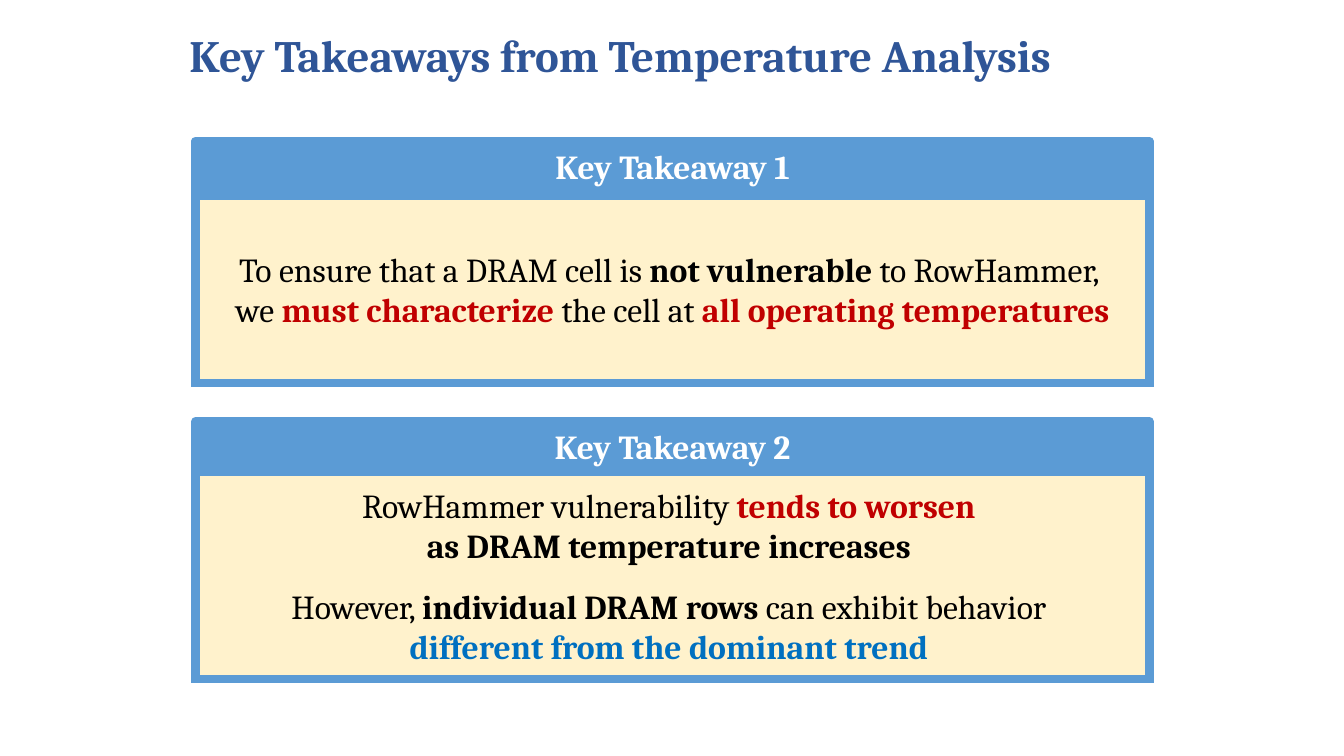
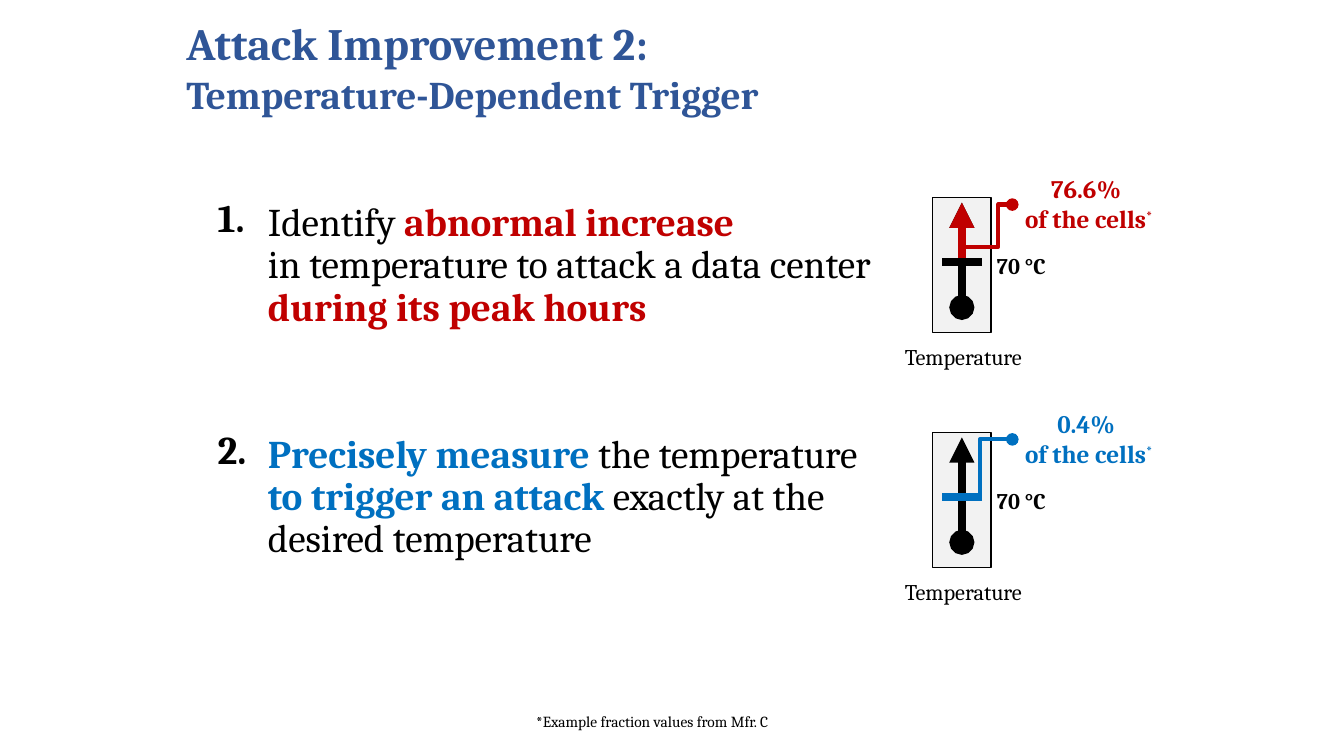
from dataclasses import dataclass

from lxml import etree
from pptx import Presentation, util as u
from pptx.dml.color import RGBColor
from pptx.enum import shapes, text
from pptx.oxml import ns


@dataclass(frozen=True)
class Theme:
    font: str = "Cambria"
    black: str = "000000"
    white: str = "FFFFFF"
    title: str = "2F5597"
    red: str = "C00000"
    blue: str = "0070C0"
    band: str = "5B9BD5"
    cream: str = "FFF2CC"
    grey: str = "F2F2F2"
    title_size: int = 32
    item_size: int = 28
    card_size: int = 24
    callout_size: int = 18
    label_size: int = 16
    note_size: int = 11
    heavy: int = 6
    medium: int = 3
    thin: int = 1


THEME = Theme()
CELL = u.Inches(0.1)  # the slide grid has ten columns and rows to the inch
LEFT, CENTER = text.PP_ALIGN.LEFT, text.PP_ALIGN.CENTER
TOP, MIDDLE = text.MSO_ANCHOR.TOP, text.MSO_ANCHOR.MIDDLE


@dataclass(frozen=True)
class Box:
    """A region in grid cells: column, row, columns wide, rows high."""
    col: float
    row: float
    cols: float
    rows: float

    def inner(self, col, row, cols, rows):
        return Box(self.col + col, self.row + row, cols, rows)

    def point(self, col, row):
        return cells(self.col + col), cells(self.row + row)

    def emu(self):
        return [cells(n) for n in (self.col, self.row, self.cols, self.rows)]


@dataclass(frozen=True)
class Run:
    words: str
    color: str = None
    bold: bool = True
    size: int = None
    raised: bool = False


def cells(count):
    return round(count * CELL)


def rgb(color):
    return RGBColor.from_string(color)


def add_run(paragraph, piece):
    """Add a string or a Run; a newline becomes a line break."""
    piece = Run(piece, bold=None) if isinstance(piece, str) else piece
    for number, line in enumerate(piece.words.split("\n")):
        if number:
            paragraph.add_line_break()
        if not line:
            continue
        run = paragraph.add_run()
        run.text = line
        if piece.bold is not None:
            run.font.bold = piece.bold
        if piece.color:
            run.font.color.rgb = rgb(piece.color)
        if piece.size:
            run.font.size = u.Pt(piece.size)
        if piece.raised:
            run.font._element.set("baseline", "30000")


def write(frame, paragraphs, size, color=THEME.black, bold=False, align=LEFT,
          anchor=TOP, wrap=True, gap=0, spacing=None):
    frame.word_wrap = wrap
    frame.vertical_anchor = anchor
    for number, pieces in enumerate(paragraphs):
        paragraph = frame.add_paragraph() if number else frame.paragraphs[0]
        paragraph.alignment = align
        if spacing:
            paragraph.line_spacing = spacing
        if number and gap:
            paragraph.space_before = u.Pt(gap)
        font = paragraph.font
        font.name, font.size, font.bold = THEME.font, u.Pt(size), bold
        font.color.rgb = rgb(color)
        for piece in pieces:
            add_run(paragraph, piece)


def add_text(slide, box, paragraphs, size, **style):
    write(slide.shapes.add_textbox(*box.emu()).text_frame, paragraphs, size, **style)


def add_panel(slide, box, fill, line, width):
    panel = slide.shapes.add_shape(shapes.MSO_SHAPE.RECTANGLE, *box.emu())
    panel.shadow.inherit = False
    panel.fill.solid()
    panel.fill.fore_color.rgb = rgb(fill)
    panel.line.color.rgb = rgb(line)
    panel.line.width = u.Pt(width)
    return panel


def add_line(slide, start, end, color, width, head=None, tail=None, bend=None):
    """Draw a straight line, or an elbow turning at the share `bend` of its width."""
    kind = shapes.MSO_CONNECTOR.STRAIGHT if bend is None else shapes.MSO_CONNECTOR.ELBOW
    line = slide.shapes.add_connector(kind, *start, *end)
    line.line.color.rgb = rgb(color)
    line.line.width = u.Pt(width)
    properties = line._element.spPr
    for tag, ending in (("a:headEnd", head), ("a:tailEnd", tail)):
        if ending:
            etree.SubElement(line.line._get_or_add_ln(), ns.qn(tag), type=ending)
    etree.SubElement(properties, ns.qn("a:effectLst"))
    if bend is not None:
        etree.SubElement(properties.find(".//" + ns.qn("a:avLst")), ns.qn("a:gd"),
                         name="adj1", fmla=f"val {round(bend * 100000)}")


def add_title(slide, box, pieces):
    add_text(slide, box, [pieces], THEME.title_size, color=THEME.title, bold=True,
             anchor=MIDDLE)


def takeaway_card(slide, box, heading, paragraphs, seam=0, gap=0):
    """A cream body under a heading band, with `seam` rows between the two."""
    band_rows = 5
    top = band_rows + seam
    body = add_panel(slide, box.inner(0, top, box.cols, box.rows - top),
                     THEME.cream, THEME.band, THEME.heavy)
    etree.SubElement(body.line._get_or_add_ln(), ns.qn("a:miter"), lim="800000")
    write(body.text_frame, paragraphs, THEME.card_size, align=CENTER,
          anchor=MIDDLE, gap=gap)
    band = add_panel(slide, box.inner(0, 0, box.cols, band_rows),
                     THEME.band, THEME.band, THEME.heavy)
    write(band.text_frame, [[heading]], THEME.card_size, color=THEME.white,
          bold=True, align=CENTER)


def numbered_item(slide, box, number, pieces):
    add_text(slide, box.inner(0, 0, 5.2, 5.7), [[number]], THEME.item_size,
             bold=True, wrap=False)
    add_text(slide, box.inner(5, 0.9, box.cols - 5, box.rows - 0.9), [pieces],
             THEME.item_size, spacing=0.9)


def thermometer(slide, box, share, color, elbow_start, bend, hot_range):
    """A temperature axis whose hot range, or else its 70 °C mark, is highlighted."""
    axis, tip, mark, bulb = box.cols / 2, 0.5, 6.4, 10.9
    add_panel(slide, box, THEME.grey, THEME.black, THEME.thin)
    add_line(slide, box.point(axis, bulb), box.point(axis, tip), THEME.black,
             THEME.heavy, head="oval", tail="triangle")
    add_text(slide, box.inner(axis - 8.1, box.rows + 0.6, 16.5, 3.7),
             [["Temperature"]], THEME.label_size, align=CENTER)
    add_text(slide, box.inner(5.4, mark - 1.5, 7.4, 3.7), [["70 °C"]],
             THEME.label_size, bold=True)
    add_text(slide, box.inner(7.9, -2.9, 15.2, 7.1),
             [[share + " "], ["of the cells", Run("*", raised=True)]],
             THEME.callout_size, color=color, bold=True, align=CENTER)
    if hot_range:
        add_line(slide, box.point(axis, mark), box.point(axis, tip), color,
                 THEME.heavy, tail="triangle")
    add_line(slide, box.point(*elbow_start), box.point(7.9, 0.7), color,
             THEME.medium, tail="oval", bend=bend)
    add_line(slide, box.point(axis + 2, mark), box.point(axis - 2, mark),
             THEME.black if hot_range else color, THEME.heavy)


def takeaways_slide(slide):
    add_title(slide, Box(17.8, 0, 98.8, 10.9), ["Key Takeaways from Temperature Analysis"])
    takeaway_card(slide, Box(19.4, 14, 94.6, 24), "Key Takeaway 1", [
        ["To ensure that a DRAM cell is ", Run("not vulnerable "), "to RowHammer, "],
        ["we ", Run("must characterize ", THEME.red), "the cell at ",
         Run("all operating temperatures", THEME.red)],
    ], seam=0.4)
    takeaway_card(slide, Box(19.4, 41.8, 94.6, 25.6), "Key Takeaway 2", [
        ["RowHammer vulnerability ", Run("tends to worsen \n", THEME.red),
         Run("as DRAM temperature increases ")],
        ["However, ", Run("individual DRAM rows "), "can exhibit behavior \n",
         Run("different from the dominant trend ", THEME.blue)],
    ], gap=14.4)


def attack_slide(slide):
    add_title(slide, Box(17.5, 2.4, 96.2, 8.4), [
        "Attack Improvement 2: \n",
        Run("Temperature-Dependent Trigger", size=THEME.item_size)])
    rows = [
        ([
            "Identify ", Run("abnormal increase \n", THEME.red),
            "in temperature to attack a data center ",
            Run("during its peak hours", THEME.red),
        ], ("76.6%", THEME.red, (2.9, 4.9), 0.72, True)),
        ([
            Run("Precisely measure ", THEME.blue), "the temperature \n",
            Run("to trigger an attack ", THEME.blue),
            "exactly at the desired temperature",
        ], ("0.4%", THEME.blue, (4.7, 6.4), 0, False)),
    ]
    for index, (pieces, reading) in enumerate(rows):
        numbered_item(slide, Box(20.6, 18.7 + 23 * index, 72.3, 15), f"{index + 1}.", pieces)
        thermometer(slide, Box(92.5, 19.6 + 23.3 * index, 5.8, 13.4), *reading)
    add_text(slide, Box(52.2, 70.2, 26.8, 2.8),
             [["*Example fraction values from Mfr. C "]], THEME.note_size)


def main():
    deck = Presentation()
    deck.slide_width, deck.slide_height = u.Inches(13.33), u.Inches(7.5)
    blank = deck.slide_layouts[6]
    for build in (takeaways_slide, attack_slide):
        build(deck.slides.add_slide(blank))
    deck.save("out.pptx")


if __name__ == "__main__":
    main()
